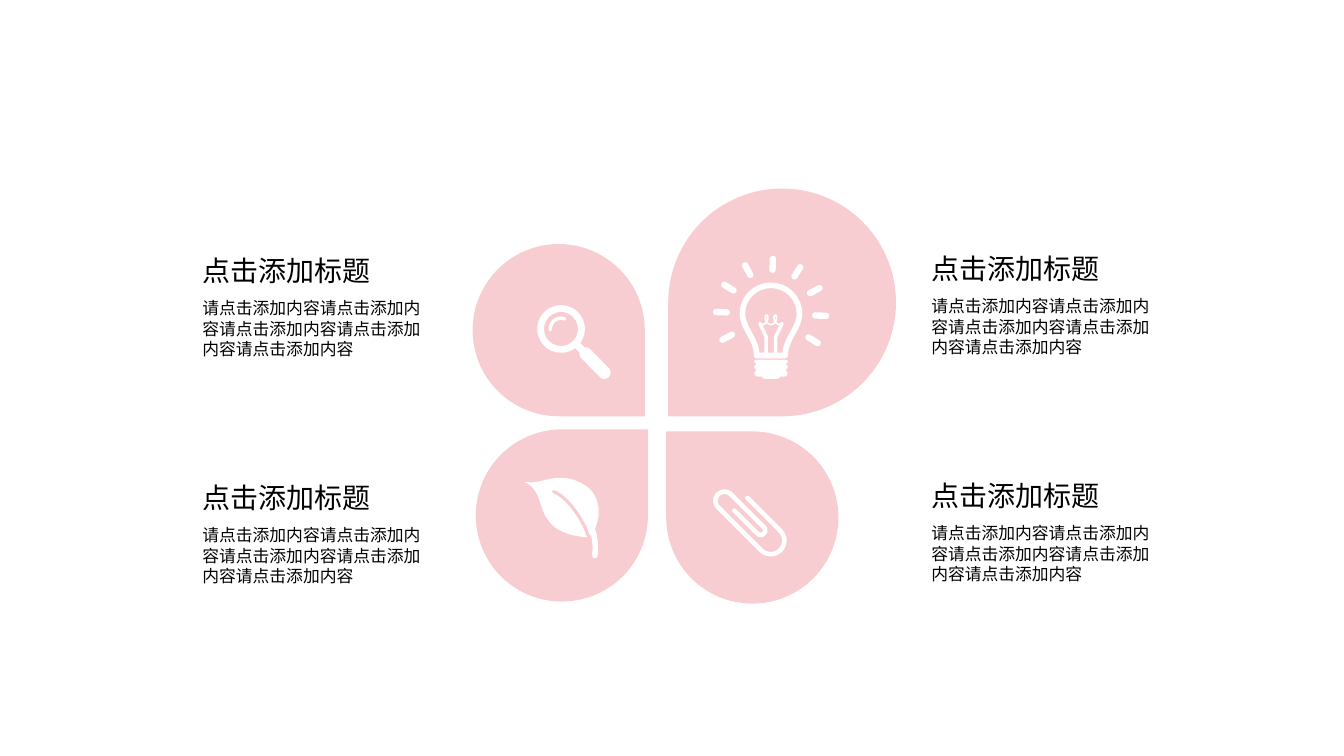
from math import cos, pi, radians, sin, sqrt

from lxml.etree import SubElement
from pptx import Presentation
from pptx.dml.color import RGBColor
from pptx.enum.shapes import MSO_SHAPE as Shape
from pptx.enum.text import MSO_AUTO_SIZE as AutoSize
from pptx.oxml.ns import qn
from pptx.util import Cm, Pt

COLOURS = {"petal": "F8CDD1", "icon": "FFFFFF", "text": "000000"}
FONTS = {"title": "Noto Sans CJK JP", "body": "Calibri"}
TITLE = "点击添加标题"
BODY = "请点击添加内容" * 5
STEPS = 16

PETALS = [(11.99, 10.82, 4.34, 0), (16.79, 10.87, 4.34, 270),
          (11.91, 6.15, 4.34, 90), (16.84, 4.75, 5.74, 180)]
CAPTIONS = [(4.85, 6.27), (4.85, 11.99), (23.22, 6.22), (23.22, 11.94)]


def rgb(colour):
    return RGBColor.from_string(COLOURS[colour])


def paint(shape, colour):
    shape.shadow.inherit = False
    shape.fill.solid()
    shape.fill.fore_color.rgb = rgb(colour)
    shape.line.fill.background()


def arc(radius, start, end):
    angles = [radians(start + (end - start) * step / STEPS) for step in range(STEPS + 1)]
    return [(radius * cos(angle), radius * sin(angle)) for angle in angles]


def curve(*controls):
    points = []
    for step in range(STEPS + 1):
        t = step / STEPS
        weights = ((1 - t) ** 3, 3 * t * (1 - t) ** 2, 3 * t * t * (1 - t), t ** 3)
        points.append(tuple(sum(weight * control[axis] for weight, control in zip(weights, controls))
                            for axis in (0, 1)))
    return points


def add_outline(shapes, origin, points, closed):
    placed = [(Cm(origin[0] + x), Cm(origin[1] + y)) for x, y in points]
    builder = shapes.build_freeform(*placed[0])
    builder.add_line_segments(placed[1:], close=closed)
    return builder.convert_to_shape()


def add_stroke(shapes, origin, points, width, colour="icon", closed=False):
    stroke = add_outline(shapes, origin, points, closed)
    stroke.shadow.inherit = False
    stroke.fill.background()
    stroke.line.color.rgb = rgb(colour)
    stroke.line.width = Pt(width)
    line = stroke.line._get_or_add_ln()
    line.set("cap", "rnd")
    SubElement(line, qn("a:round"))


def add_block(shapes, kind, centre_x, centre_y, width, height, colour="icon", rotation=0):
    block = shapes.add_shape(kind, Cm(centre_x - width / 2), Cm(centre_y - height / 2),
                             Cm(width), Cm(height))
    block.rotation = rotation
    paint(block, colour)
    return block


def add_petal(shapes, left, top, size, rotation):
    add_block(shapes, Shape.TEAR, left + size / 2, top + size / 2, size, size, "petal", rotation)


def add_magnifier(shapes, centre):
    lens, rim = 1.2, 0.17
    ring = add_block(shapes, Shape.DONUT, *centre, lens, lens)
    ring.adjustments[0] = rim / lens
    add_stroke(shapes, centre, arc(0.27, 175, 290), 2.5)
    neck, grip, end = (0.37, 0.37), (0.62, 0.62), (1.09, 1.1)
    add_stroke(shapes, centre, [neck, grip], 5)
    add_stroke(shapes, centre, [grip, end], 9)


def bend(along, track_from, track_to, side):
    radius = abs(track_from - track_to) / 2
    middle = (track_from + track_to) / 2
    turn = 1 if track_from > track_to else -1
    return [(along + side * radius * sin(pi * step / STEPS),
             middle + turn * radius * cos(pi * step / STEPS)) for step in range(STEPS + 1)]


def add_paperclip(shapes, origin):
    gap = 0.23
    wire = [(0.36, 2 * gap)]
    wire += bend(1.53, 2 * gap, -gap, 1)
    wire += bend(0, -gap, gap, -1)
    wire += bend(1.17, gap, 0, 1)
    wire += [(0.35, 0)]
    tilted = [((along + across) / sqrt(2), (along - across) / sqrt(2)) for along, across in wire]
    add_stroke(shapes, origin, tilted, 3.25)


def add_leaf(shapes, tip):
    start, shoulder, side, base, belly = (0, 0), (1.52, 0.08), (1.88, 0.76), (1.75, 1.3), (0.66, 1.04)
    heel = (1.57, 1.4)
    blade = curve(start, (0.48, 0.1), (0.84, -0.33), shoulder)
    blade += curve(shoulder, (1.73, 0.2), (1.88, 0.46), side)
    blade += curve(side, (1.88, 0.97), (1.8, 1.14), base)
    blade += curve(heel, (1.27, 1.37), (0.89, 1.3), belly)
    blade += curve(belly, (0.33, 0.66), (0.46, 0.2), start)
    paint(add_outline(shapes, tip, blade, True), "icon")
    vein = curve((0.74, 0.25), (1.07, 0.36), (1.52, 0.97), (1.64, 1.45))
    stem = curve((1.74, 1.26), (1.79, 1.47), (1.81, 1.63), (1.78, 1.86))
    add_stroke(shapes, tip, vein, 2.25, "petal")
    add_stroke(shapes, tip, stem, 4)


def add_rays(shapes, centre):
    width, length, radius, tilt = 0.16, 0.43, 1.25, 2
    for angle in range(tilt - 120, tilt + 121, 30):
        ray = add_block(shapes, Shape.ROUNDED_RECTANGLE,
                        centre[0] + radius * sin(radians(angle)),
                        centre[1] - radius * cos(radians(angle)),
                        width, length, rotation=angle)
        ray.adjustments[0] = 0.5


def add_glass(shapes, centre):
    radius, neck, bottom = 0.72, 0.36, 1.05
    right = curve((radius, 0), (0.7, 0.4), (neck, 0.62), (neck, bottom))
    left = [(-x, y) for x, y in reversed(right)]
    add_stroke(shapes, centre, arc(radius, -180, 0) + right + left, 4, closed=True)


def add_filament(shapes, centre):
    for side in (-1, 1):
        post = [(side * 0.12, 1), (side * 0.12, 0.58), (side * 0.28, 0.24)]
        add_stroke(shapes, centre, post, 2.5)
    pitch, swing, height, turns = 0.22, 0.08, 0.24, 2
    coil = []
    for step in range(turns * STEPS + 1):
        angle = 2 * pi * step / STEPS
        coil.append((pitch * (step / STEPS - turns / 2) + swing * sin(angle),
                     0.27 - height * (1 - cos(angle)) / 2))
    add_stroke(shapes, centre, coil, 1.25)


def add_screw(shapes, centre_x, top):
    thread, pitch = 0.08, 0.14
    add_block(shapes, Shape.RECTANGLE, centre_x, top + pitch, 0.76, 2 * pitch)
    for turn in range(2):
        add_block(shapes, Shape.RECTANGLE, centre_x, top + turn * pitch + thread / 2, 0.84, thread)
    for width, offset in ((0.84, 0.34), (0.46, 0.4)):
        cap = add_block(shapes, Shape.ROUNDED_RECTANGLE, centre_x, top + offset, width, 0.16)
        cap.adjustments[0] = 0.5


def add_bulb(shapes, centre):
    bulb = shapes.add_group_shape().shapes
    add_rays(bulb, centre)
    add_glass(bulb, centre)
    add_filament(bulb, centre)
    add_screw(bulb, centre[0], centre[1] + 1.16)


def add_text(shapes, text, left, top, width, height, font, size, wrap):
    box = shapes.add_textbox(Cm(left), Cm(top), Cm(width), Cm(height))
    frame = box.text_frame
    frame.text = text
    frame.word_wrap = wrap
    frame.auto_size = AutoSize.SHAPE_TO_FIT_TEXT
    run = frame.paragraphs[0].runs[0]
    run.font.name = FONTS[font]
    run.font.size = Pt(size)
    run.font.color.rgb = rgb("text")
    SubElement(run.font._element, qn("a:ea")).set("typeface", FONTS["body"])


def add_caption(shapes, left, top):
    add_text(shapes, BODY, left, top + 1.12, 6.12, 1.8, "body", 12, True)
    add_text(shapes, TITLE, left, top, 4.78, 1.12, "title", 20, False)


def main():
    presentation = Presentation()
    presentation.slide_width, presentation.slide_height = Cm(33.87), Cm(19.05)
    shapes = presentation.slides.add_slide(presentation.slide_layouts[6]).shapes
    for petal in PETALS:
        add_petal(shapes, *petal)
    add_magnifier(shapes, (14.14, 8.29))
    add_paperclip(shapes, (18.26, 12.62))
    add_leaf(shapes, (13.21, 12.14))
    add_bulb(shapes, (19.43, 7.91))
    for left, top in CAPTIONS:
        add_caption(shapes, left, top)
    presentation.save("out.pptx")


if __name__ == "__main__":
    main()
